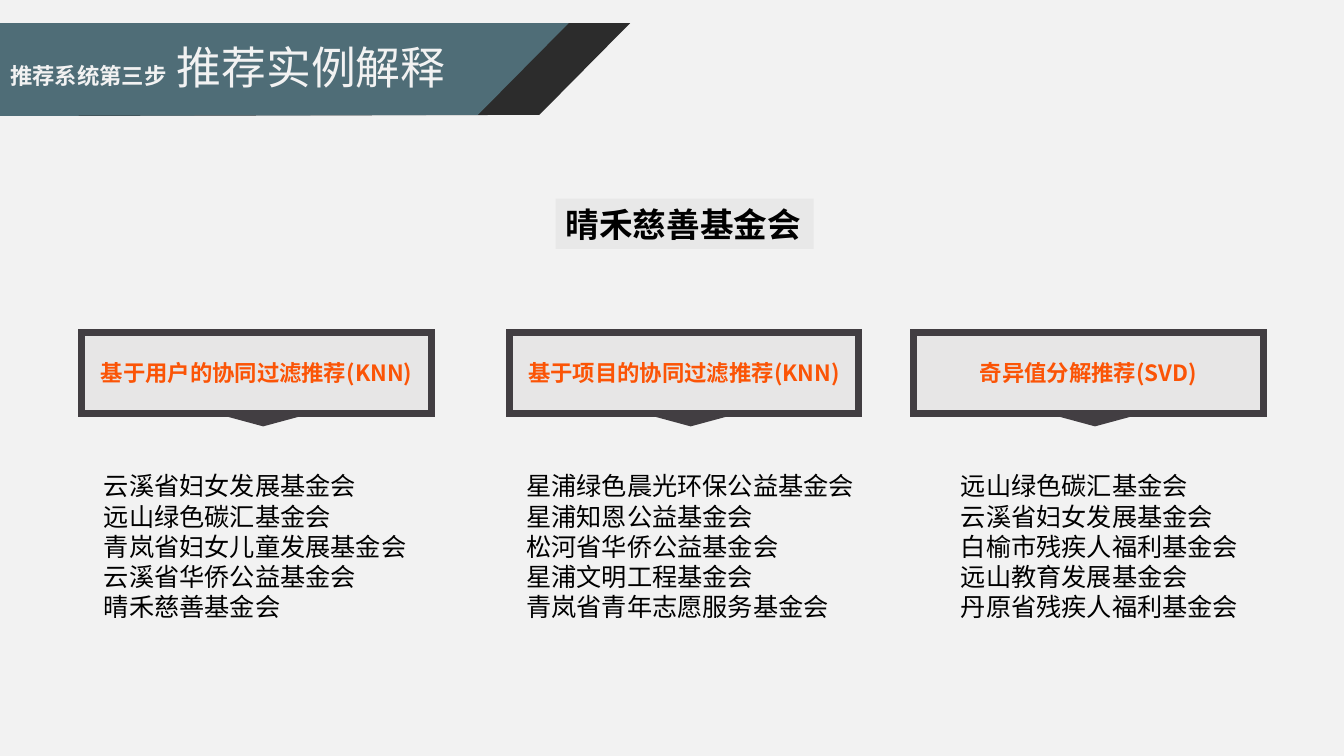
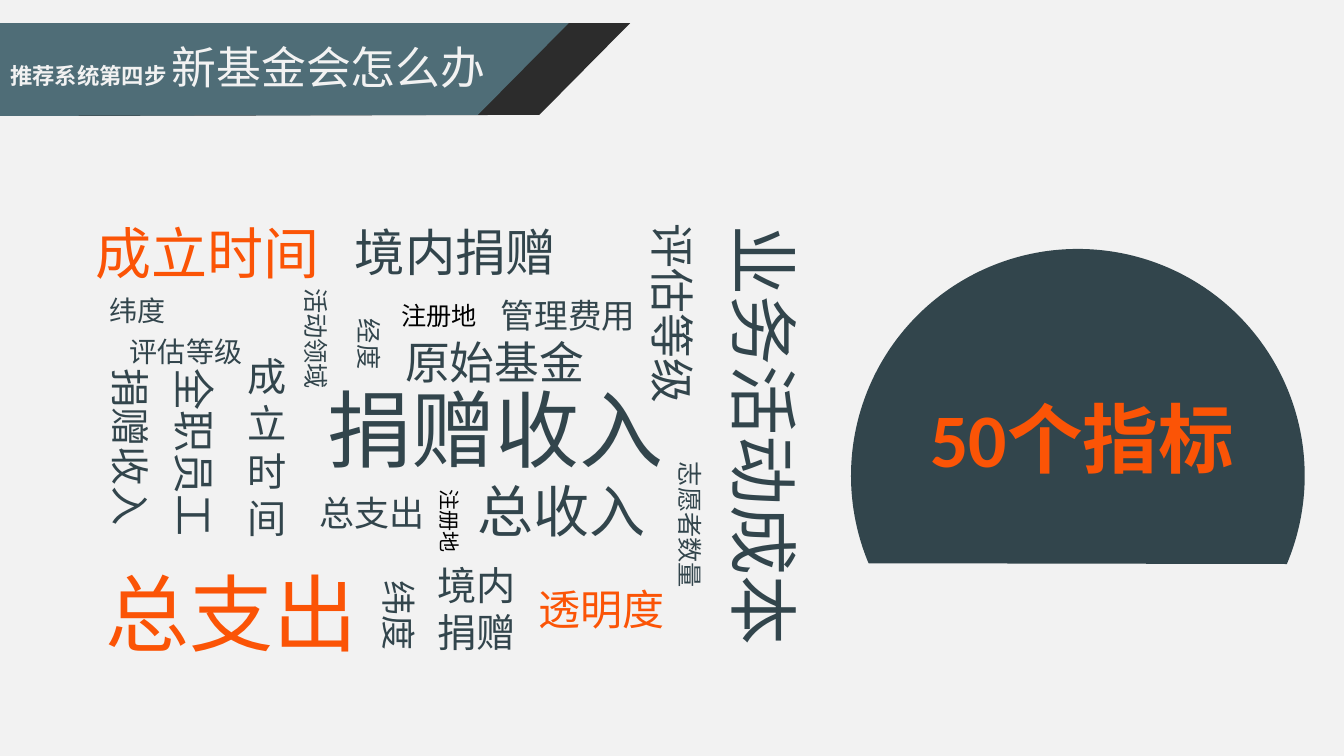
from lxml.etree import SubElement
from pptx import Presentation
from pptx.dml.color import RGBColor
from pptx.enum.shapes import MSO_SHAPE as Kind
from pptx.enum.text import MSO_ANCHOR as Anchor, MSO_AUTO_SIZE as Fit, PP_ALIGN as Align
from pptx.oxml.ns import qn
from pptx.util import Inches, Pt

SANS, LATIN = "Noto Sans CJK SC", "Calibri"
PALE, BLACK, CHALK, ASH = "F2F2F2", "000000", "E8E8E8", "E7E6E6"
TEAL, COAL, GREY = "4F6D77", "2C2C2C", "423E42"
SLATE, FLAME = "32454C", "FB5406"
COMPARE, TITLE_ONLY = 4, 5

HEAD = "晴禾慈善基金会"

# heading, card left, list left, list width, members
CARDS = [
    ("基于用户的协同过滤推荐(KNN)", 0.81, 0.93, 3.46,
     "云溪省妇女发展基金会\n远山绿色碳汇基金会\n青岚省妇女儿童发展基金会\n"
     "云溪省华侨公益基金会\n晴禾慈善基金会"),
    ("基于项目的协同过滤推荐(KNN)", 5.05, 5.12, 3.46,
     "星浦绿色晨光环保公益基金会\n星浦知恩公益基金会\n松河省华侨公益基金会\n"
     "星浦文明工程基金会\n青岚省青年志愿服务基金会"),
    ("奇异值分解推荐(SVD)", 9.06, 9.43, 3.32,
     "远山绿色碳汇基金会\n云溪省妇女发展基金会\n白榆市残疾人福利基金会\n"
     "远山教育发展基金会\n丹原省残疾人福利基金会"),
]

# text, size, box, then any format that differs from level slate text
TURN = {"turn": 90}
HOT = {"color": FLAME}
DARK = {"color": BLACK, "font": LATIN}
WORDS = [
    ("捐赠收入", 60, (3.15, 3.7, 3.57, 1.11), {}),
    ("成立时间", 40, (0.85, 2.12, 2.45, 0.77), HOT),
    ("评估等级", 32, (5.67, 2.8, 2, 0.64), TURN),
    ("原始基金", 32, (3.92, 3.27, 2, 0.64), {}),
    ("总支出", 25, (3.07, 4.83, 1.25, 0.52), {}),
    ("注册地", 15, (4.05, 5, 0.83, 0.35), DARK | TURN),
    ("纬度", 25, (3.51, 5.85, 0.9, 0.52), TURN),
    ("总收入", 40, (4.64, 4.68, 1.88, 0.77), {}),
    ("总支出", 60, (0.95, 5.52, 2.73, 1.11), HOT),
    ("捐赠收入", 28, (0.41, 4.16, 1.77, 0.57), TURN),
    ("业务活动成本", 50, (5.34, 3.91, 4.49, 0.94), TURN),
    ("活动领域", 18, (2.25, 3.43, 1.76, 0.42), TURN),
    ("评估等级", 20, (1.19, 3.27, 1.62, 0.44), {}),
    ("全职员工", 30, (0.91, 4.27, 2.04, 0.61), TURN),
    ("成\n立\n时\n间", 28, (2.36, 3.45, 0.54, 1.99), {}),
    ("境内捐赠", 36, (3.42, 2.14, 2.22, 0.71), {}),
    ("经度", 18, (3.31, 3.22, 0.71, 0.4), TURN),
    ("管理费用", 24, (4.87, 2.88, 1.55, 0.5), {}),
    ("志愿者数量", 18, (5.78, 5.35, 2.13, 0.4), TURN),
    ("透明度", 30, (5.24, 5.74, 1.48, 0.61), HOT),
    ("境内\n捐赠", 28, (4.24, 5.52, 0.99, 1.04), {}),
    ("注册地", 18, (3.88, 2.93, 0.96, 0.4), DARK),
    ("纬度", 20, (0.99, 2.86, 1.37, 0.44), {}),
]


def paint(fill, color):
    fill.solid()
    fill.fore_color.rgb = RGBColor.from_string(color)


def write(para, text, size=18, color=BLACK, bold=False, font=SANS):
    run = para.add_run()
    run.text = text
    run.font.size, run.font.bold, run.font.name = Pt(size), bold, font
    paint(run.font.fill, color)
    east = SubElement(run.font._element, qn("a:ea"))
    east.set("typeface", SANS)


def reset(frame, anchor=Anchor.TOP):
    frame.word_wrap = True
    frame.auto_size = Fit.NONE
    frame.vertical_anchor = anchor


def flush(para, align=Align.LEFT):
    """Align a paragraph and take away bullet, indent and space before."""
    para.alignment = align
    para.space_before = Pt(0)
    props = para._p.get_or_add_pPr()
    props.set("marL", "0")
    props.set("indent", "0")
    SubElement(props, qn("a:buNone"))


def fill_text(frame, text, align=Align.LEFT, anchor=Anchor.TOP, **style):
    reset(frame, anchor)
    for i, line in enumerate(text.split("\n")):
        para = frame.add_paragraph() if i else frame.paragraphs[0]
        flush(para, align)
        write(para, line, **style)


def place(shape, box):
    shape.left, shape.top, shape.width, shape.height = map(Inches, box)


class Deck:
    def __init__(self):
        self.prs = Presentation()
        self.prs.slide_width, self.prs.slide_height = Inches(13.33), Inches(7.5)
        paint(self.prs.slide_master.background.fill, PALE)
        self.slide = None

    def start(self, layout, step, name):
        """Add a slide with its two bands behind the title."""
        self.slide = self.prs.slides.add_slide(self.prs.slide_layouts[layout])
        title = self.slide.shapes.title
        for left, tip, color in ((0.61, 6.25, COAL), (0, 5.64, TEAL)):
            band = self.band(left, tip, color)
            title.element.addprevious(band.element)
        place(title, (0, 0.34, 5.05, 0.64))
        reset(title.text_frame)
        para = title.text_frame.paragraphs[0]
        para.alignment = Align.LEFT
        write(para, step, size=16, color=PALE, bold=True)
        write(para, name, size=32, color=PALE)

    def finish(self, shape, color, edge=None, width=1):
        shape.shadow.inherit = False
        paint(shape.fill, color)
        if edge:
            paint(shape.line.fill, edge)
            shape.line.width = Pt(width)
            miter = SubElement(shape.line._get_or_add_ln(), qn("a:miter"))
            miter.set("lim", "800000")
        else:
            shape.line.fill.background()
        return shape

    def band(self, left, tip, color):
        points = [(Inches(x), Inches(y)) for x, y in
                  ((left, 0.23), (tip, 0.23), (tip - 0.9, 1.14), (left, 1.15))]
        pen = self.slide.shapes.build_freeform(*points[0])
        pen.add_line_segments(points[1:], close=True)
        return self.finish(pen.convert_to_shape(), color)

    def shape(self, kind, box, color, turn=0, **edge):
        form = self.slide.shapes.add_shape(kind, *map(Inches, box))
        form.rotation = turn
        return self.finish(form, color, **edge)

    def text(self, text, box, turn=0, **style):
        label = self.slide.shapes.add_textbox(*map(Inches, box))
        label.rotation = turn
        fill_text(label.text_frame, text, **style)

    def body(self, slot, text, box, **style):
        """Fill one of the body placeholders of the layout."""
        holder = self.slide.placeholders[slot]
        place(holder, box)
        fill_text(holder.text_frame, text, **style)
        return holder

    def card(self, text, left):
        box = self.shape(Kind.RECTANGLE, (left, 3.3, 3.47, 0.8), ASH,
                         edge=GREY, width=5)
        fill_text(box.text_frame, text, align=Align.CENTER, anchor=Anchor.MIDDLE,
                  size=16, color=FLAME, bold=True)
        self.shape(Kind.ISOSCELES_TRIANGLE, (left + 1.32, 4.1, 0.96, 0.13),
                   GREY, turn=180)


def main():
    deck = Deck()

    deck.start(COMPARE, "推荐系统第三步", " 推荐实例解释")
    head = deck.body(1, HEAD, (5.51, 1.97, 2.56, 0.5), size=24, bold=True)
    paint(head.fill, CHALK)
    for slot, (name, left, inset, width, members) in enumerate(CARDS, 2):
        deck.card(name, left)
        deck.body(slot, members, (inset, 4.62, width, 1.62))

    deck.start(TITLE_ONLY, "推荐系统第四步 ", "新基金会怎么办")
    for text, size, box, extra in WORDS:
        deck.text(text, box, **{"size": size, "color": SLATE} | extra)
    dome = deck.shape(Kind.CHORD, (8.44, 2.47, 4.5, 4.5), SLATE, turn=112.3)
    dome.adjustments[0], dome.adjustments[1] = 27, 162.36
    deck.text("50个指标", (8.9, 3.84, 3.67, 1.01), align=Align.CENTER,
              size=54, color=FLAME, bold=True, font=LATIN)

    deck.prs.save("out.pptx")


if __name__ == "__main__":
    main()
